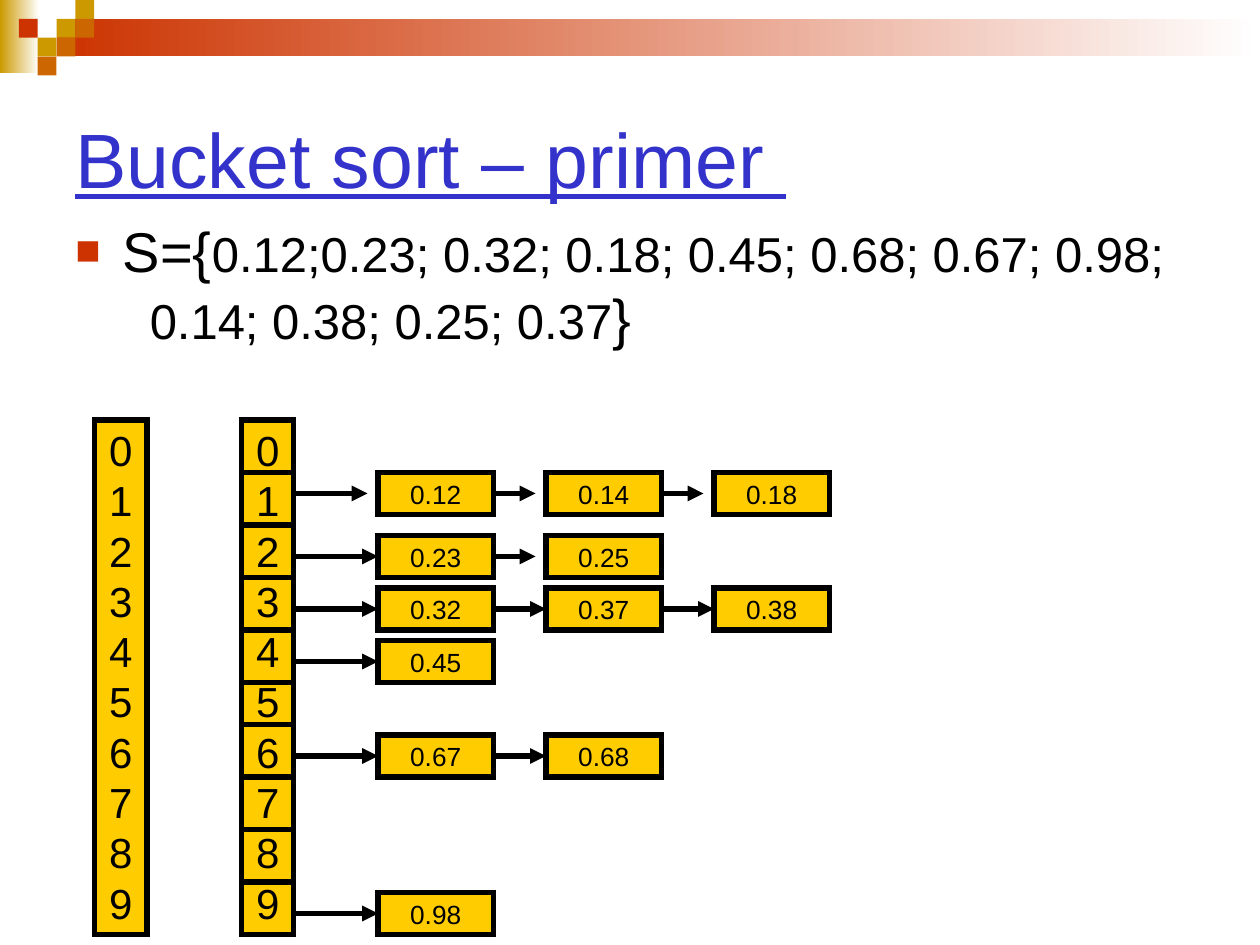
from lxml import etree
from pptx import Presentation
from pptx.dml.color import RGBColor
from pptx.enum.shapes import MSO_CONNECTOR, MSO_SHAPE
from pptx.enum.text import MSO_ANCHOR, PP_ALIGN
from pptx.oxml.ns import qn
from pptx.util import Cm, Pt

RECTANGLE = MSO_SHAPE.RECTANGLE
STRAIGHT = MSO_CONNECTOR.STRAIGHT
MIDDLE = MSO_ANCHOR.MIDDLE
CENTER = PP_ALIGN.CENTER

WHITE = RGBColor(0xFF, 0xFF, 0xFF)
BLACK = RGBColor(0x00, 0x00, 0x00)
RED = RGBColor(0xCC, 0x33, 0x00)
ORANGE = RGBColor(0xCC, 0x66, 0x00)
GOLD = RGBColor(0xCC, 0x99, 0x00)
YELLOW = RGBColor(0xFF, 0xCC, 0x00)
BLUE = RGBColor(0x33, 0x33, 0xCC)
FONT = "Arial"

UNIT = Cm(2.54) // 12  # the diagram sits on a grid of twelfths of an inch

prs = Presentation()
prs.slide_width, prs.slide_height = Cm(25.4), Cm(19.05)
slide = prs.slides.add_slide(prs.slide_layouts[6])
shapes = slide.shapes


def add_box(column, row, width, height, lines, size):
    """Add a yellow box, placed in grid units, with one paragraph per line."""
    box = shapes.add_shape(RECTANGLE, column * UNIT, row * UNIT, width * UNIT, height * UNIT)
    box.shadow.inherit = False
    box.fill.solid()
    box.fill.fore_color.rgb = YELLOW
    box.line.color.rgb = BLACK
    box.line.width = Pt(3)
    etree.SubElement(box.line._get_or_add_ln(), qn("a:miter"), lim="800000")
    frame = box.text_frame
    frame.word_wrap = False
    frame.vertical_anchor = MIDDLE
    frame.text = "\n".join(lines)
    for paragraph in frame.paragraphs:
        paragraph.alignment = CENTER
        paragraph.font.name = FONT
        paragraph.font.size = Pt(size)
        paragraph.font.color.rgb = BLACK
    return frame


def add_line(start, end, row, arrow=False):
    """Add a horizontal line, placed in grid units."""
    line = shapes.add_connector(STRAIGHT, start * UNIT, row * UNIT, end * UNIT, row * UNIT)
    line.line.color.rgb = BLACK
    line.line.width = Pt(3)
    if arrow:
        etree.SubElement(line.line._get_or_add_ln(), qn("a:tailEnd"), type="triangle")
    etree.SubElement(line._element.spPr, qn("a:effectLst"))


# Header bands, fading to white
for left, top, width, height, color in [
    (0, 0, 0.79, 1.47, GOLD),
    (1.14, 0.38, 24.26, 0.76, RED),
]:
    band = shapes.add_shape(RECTANGLE, Cm(left), Cm(top), Cm(width), Cm(height))
    band.shadow.inherit = False
    band.line.fill.background()
    band.fill.gradient()
    band.fill.gradient_angle = 0
    for stop, stop_color in zip(band.fill.gradient_stops, (color, WHITE)):
        stop.color.rgb = stop_color

# Header mosaic
TILE = 0.38
for column, row, color in [
    (3, 1, GOLD), (4, 0, GOLD), (4, 1, ORANGE), (2, 2, GOLD),
    (1, 1, RED), (3, 2, ORANGE), (2, 3, ORANGE),
]:
    tile = shapes.add_shape(
        RECTANGLE, Cm(column * TILE), Cm(row * TILE), Cm(TILE), Cm(TILE))
    tile.shadow.inherit = False
    tile.line.fill.background()
    tile.fill.solid()
    tile.fill.fore_color.rgb = color

# Title
title = shapes.add_textbox(Cm(1.27), Cm(1.27), Cm(22.86), Cm(3.81)).text_frame
title.word_wrap = True
title.vertical_anchor = MIDDLE
heading = title.paragraphs[0]
heading.text = "Bucket sort – primer "
heading.font.name = FONT
heading.font.size = Pt(44)
heading.font.underline = True
heading.font.color.rgb = BLUE

# Set to be sorted
body = shapes.add_textbox(Cm(1.27), Cm(4.24), Cm(22.86), Cm(10.8)).text_frame
body.word_wrap = True
set_lines = [
    (0.96, -0.96, [("S={", 32), ("0.12;0.23; 0.32; 0.18; 0.45; 0.68; 0.67; 0.98;", 28)]),
    (1.5, 0, [("0.14; 0.38; 0.25; 0.37", 28), ("}", 32)]),
]
for number, (margin, indent, parts) in enumerate(set_lines):
    paragraph = body.add_paragraph() if number else body.paragraphs[0]
    paragraph.line_spacing = Pt(38.3)
    properties = paragraph._p.get_or_add_pPr()
    properties.set("marL", str(Cm(margin)))
    properties.set("indent", str(Cm(indent)))
    if number == 0:
        bullet_color = etree.SubElement(properties, qn("a:buClr"))
        etree.SubElement(bullet_color, qn("a:srgbClr"), val=str(RED))
        etree.SubElement(properties, qn("a:buSzPct"), val="75000")
        etree.SubElement(properties, qn("a:buFont"), typeface=FONT)
        etree.SubElement(properties, qn("a:buChar"), char="■")
    paragraph.font.name = FONT
    paragraph.font.color.rgb = BLACK
    for text, size in parts:
        run = paragraph.add_run()
        run.text = text
        run.font.size = Pt(size)

# Digit column and bucket column; the insets keep the digits clear of the dividers
for column in (9, 23):
    digits = add_box(column, 40, 5, 49, [str(digit) for digit in range(10)], 24)
    digits.margin_top = 0
    digits.margin_bottom = Cm(0.05)
    for paragraph in digits.paragraphs:
        paragraph.line_spacing = Pt(28.75)
for row in (45, 50, 55, 60, 65, 69, 74, 79, 84):
    add_line(23, 28, row)

# Chains: top row, values, and how far each arrow stops short of its box
chains = [
    (45, ["0.12", "0.14", "0.18"], [1, 1, 1]),
    (51, ["0.23", "0.25"], [0, 1]),
    (56, ["0.32", "0.37", "0.38"], [0, 0, 0]),
    (61, ["0.45"], [0]),
    (70, ["0.67", "0.68"], [0, 0]),
    (85, ["0.98"], [0]),
]
FIRST_NODE, NODE_PITCH, NODE_WIDTH, NODE_HEIGHT = 36, 16, 11, 4
for row, values, gaps in chains:
    arrow_start = 28
    for position, (value, gap) in enumerate(zip(values, gaps)):
        left = FIRST_NODE + position * NODE_PITCH
        add_box(left, row, NODE_WIDTH, NODE_HEIGHT, [value], 15)
        add_line(arrow_start, left - gap, row + NODE_HEIGHT // 2, arrow=True)
        arrow_start = left + NODE_WIDTH

prs.save("out.pptx")
